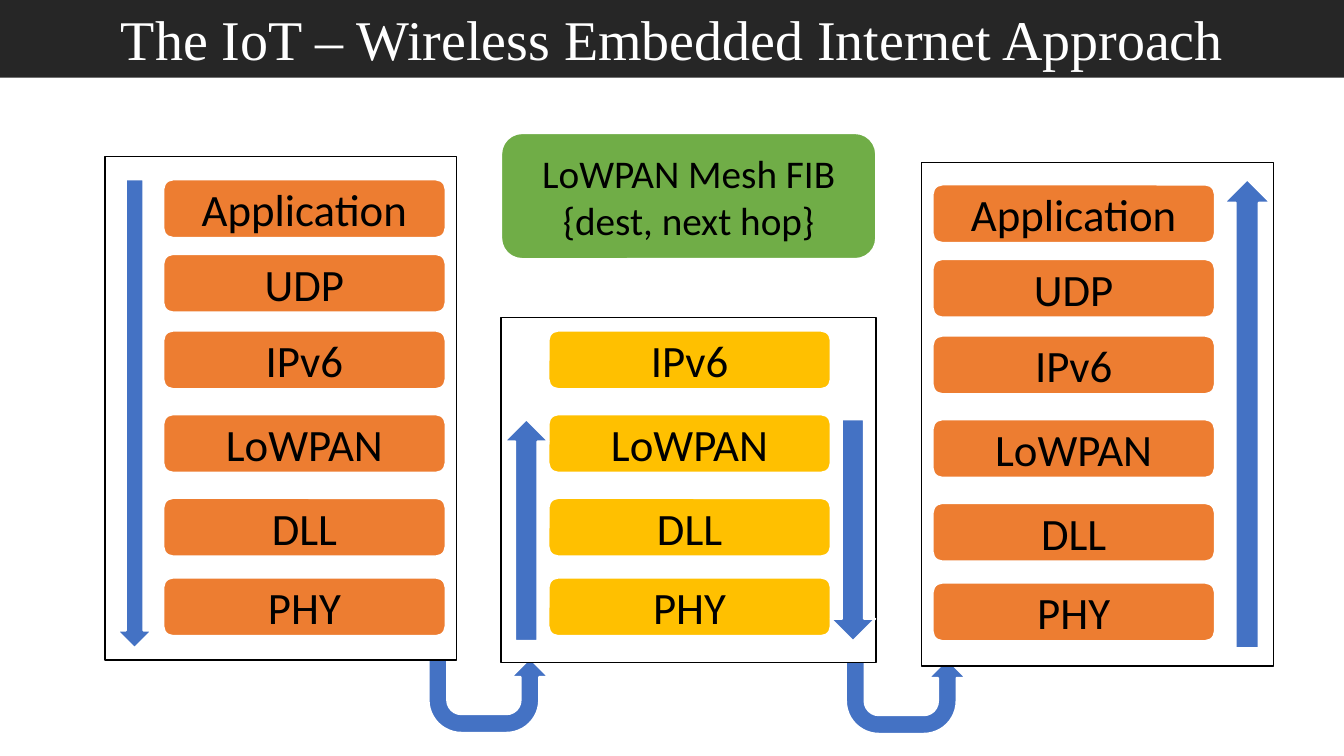
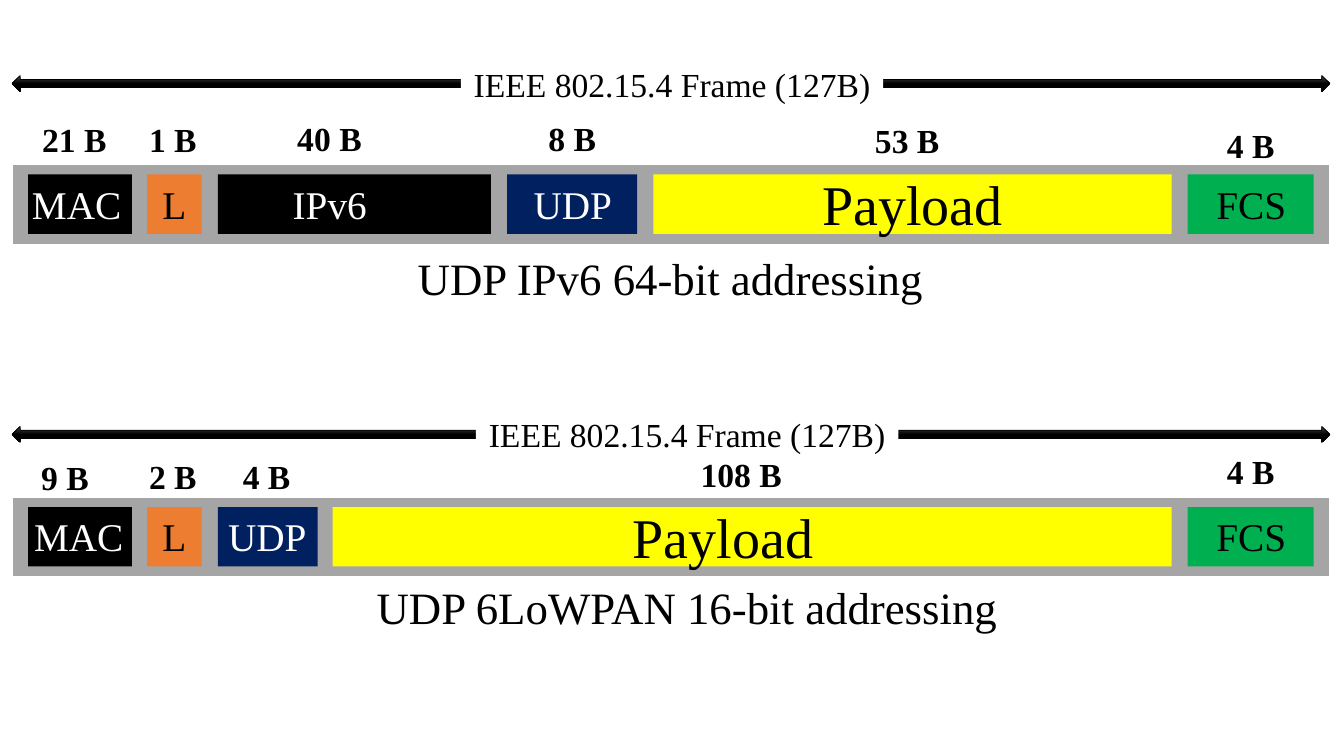
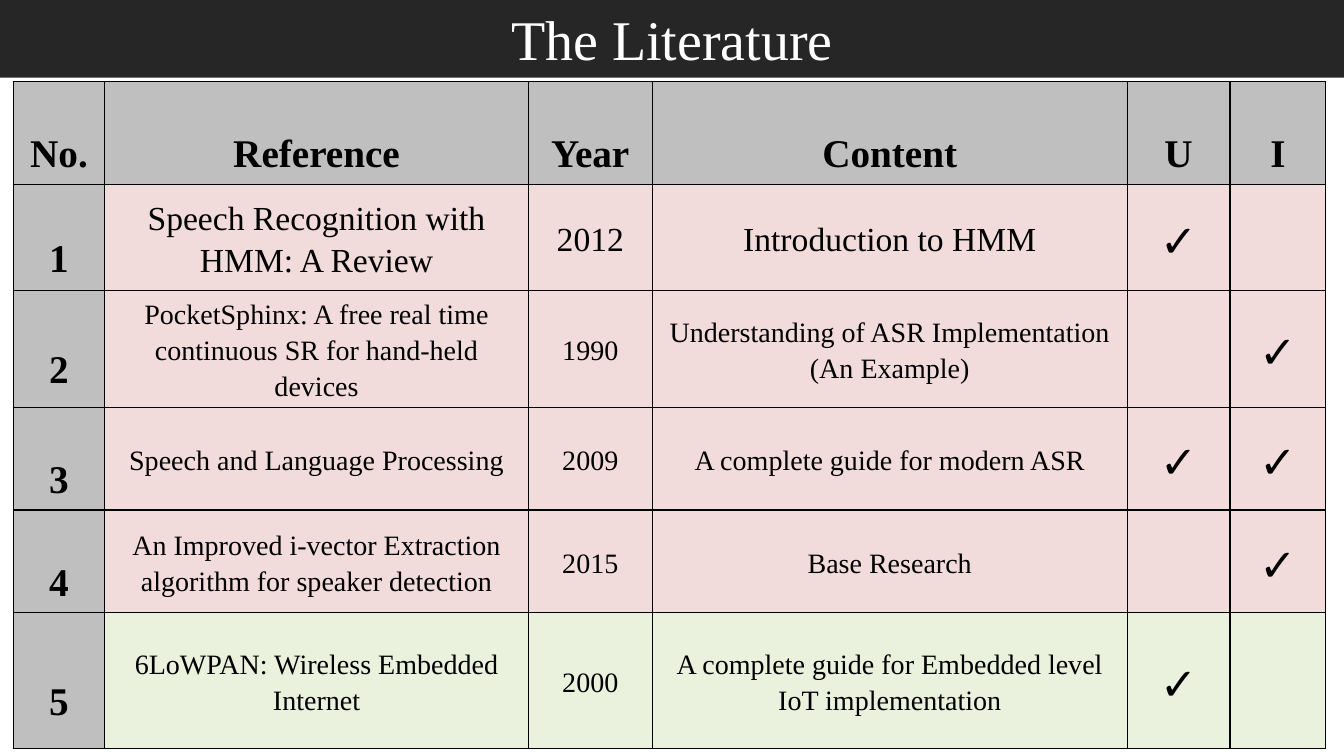
from collections import namedtuple

from lxml import etree
from pptx import Presentation
from pptx.dml.color import RGBColor
from pptx.enum import shapes, text
from pptx.oxml import ns
from pptx.util import Inches, Pt

COLORS = {
    "white": "FFFFFF", "black": "000000", "band": "262626", "blue": "4472C4",
    "orange": "ED7D31", "gold": "FFC000", "green": "70AD47", "gray": "A5A5A5",
    "navy": "002060", "yellow": "FFFF00", "emerald": "00B050", "sheen": "4B4B4B",
    "head": "BFBFBF", "pink": "F2DBDB", "lime": "EAF1DD",
}
SERIF, SANS, TICK_FONT = "Times New Roman", "Calibri", "Cabin"
KIND = shapes.MSO_SHAPE
CENTER, LEFT = text.PP_ALIGN.CENTER, text.PP_ALIGN.LEFT
TOP, MIDDLE = text.MSO_ANCHOR.TOP, text.MSO_ANCHOR.MIDDLE

LAYERS = ["Application", "UDP", "IPv6", "LoWPAN", "DLL", "PHY"]
LAYER_OFFSETS = [0, 0.74, 1.5, 2.33, 3.16, 3.95]

# label_left and label_top place the byte count, name_mid centres the name
Field = namedtuple("Field", "name left width fill ink name_mid count label_left label_top size",
                   defaults=[28])
FRAME_LEFT, FRAME_WIDTH = 0.12, 13.07
IPV6_FIELDS = [
    Field("MAC", 0.28, 1.03, "black", "white", 0.76, "21 B", 0.32, 1.13),
    Field("L", 1.46, 0.54, "orange", "black", 1.73, "1 B", 1.38, 1.13),
    Field("IPv6", 2.16, 2.71, "black", "white", 3.27, "40 B", 2.85, 1.12),
    Field("UDP", 5.03, 1.29, "navy", "white", 5.68, "8 B", 5.34, 1.12),
    Field("Payload", 6.48, 5.14, "yellow", "black", 9.05, "53 B", 8.58, 1.14, 40),
    Field("FCS", 11.78, 1.25, "emerald", "black", 12.41, "4 B", 12.07, 1.19),
]
LOWPAN_FIELDS = [
    Field("MAC", 0.28, 1.03, "black", "white", 0.78, "9 B", 0.31, 4.48),
    Field("L", 1.46, 0.54, "orange", "black", 1.73, "2 B", 1.38, 4.47),
    Field("UDP", 2.16, 0.99, "navy", "white", 2.65, "4 B", 2.31, 4.47),
    Field("Payload", 3.3, 8.32, "yellow", "black", 7.17, "108 B", 6.85, 4.45, 40),
    Field("FCS", 11.78, 1.25, "emerald", "black", 12.41, "4 B", 12.07, 4.42),
]

TICK = "✓"
COLUMN_WIDTHS = [0.91, 4.2, 1.23, 4.71, 1.02, 0.95]
ROW_HEIGHTS = [1.02, 1.05, 1.16, 1.02, 1.02, 1.35]
LITERATURE = [
    ("No.", "Reference", "Year", "Content", "U", "I"),
    ("1", "Speech Recognition with HMM: A Review", "2012", "Introduction to HMM", TICK, ""),
    ("2", "PocketSphinx: A free real time continuous SR for hand-held devices", "1990",
     "Understanding of ASR Implementation (An Example)", "", TICK),
    ("3", "Speech and Language Processing", "2009", "A complete guide for modern ASR",
     TICK, TICK),
    ("4", "An Improved i-vector Extraction algorithm for speaker detection", "2015",
     "Base Research", "", TICK),
    ("5", "6LoWPAN: Wireless Embedded Internet", "2000",
     "A complete guide for Embedded level IoT implementation", TICK, ""),
]


def rgb(name):
    return RGBColor.from_string(COLORS[name])


def write(frame, words, size, ink="black", font=SERIF, align=CENTER, bold=False, spacing=None):
    frame.text = words
    for para in frame.paragraphs:
        para.alignment = align
        if spacing:
            para.line_spacing = spacing
        for span in para.runs:
            span.font.size = Pt(size)
            span.font.name = font
            span.font.bold = bold
            span.font.color.rgb = rgb(ink)


def add_shape(page, kind, left, top, width, height, fill, line=None, weight=1.5):
    shape = page.shapes.add_shape(kind, Inches(left), Inches(top), Inches(width), Inches(height))
    shape.shadow.inherit = False
    shape.fill.solid()
    shape.fill.fore_color.rgb = rgb(fill)
    if line:
        shape.line.color.rgb = rgb(line)
        shape.line.width = Pt(weight)
    else:
        shape.line.fill.background()
    return shape


def add_text(page, words, left, top, width, height, size, wrap=True, **style):
    box = page.shapes.add_textbox(Inches(left), Inches(top), Inches(width), Inches(height))
    box.text_frame.word_wrap = wrap
    write(box.text_frame, words, size, **style)


def add_title(page, words):
    band = add_shape(page, KIND.RECTANGLE, 0, 0, 13.33, 0.77, "band")
    band.text_frame.vertical_anchor = TOP
    write(band.text_frame, words, 40, "white")


def add_block_arrow(page, kind, left, top, width, height):
    return add_shape(page, kind, left, top, width, height, "blue", "white")


def add_hop(page, left, top):
    """Add a U-shaped arrow that leads under two neighbouring panels."""
    arrow = add_block_arrow(page, KIND.U_TURN_ARROW, left, top, 1.19, 0.74)
    for index, value in enumerate([0.25, 0.25, 0.25, 0.44, 1]):
        arrow.adjustments[index] = value
    arrow.rotation = 180
    arrow.element.spPr.find(ns.qn("a:xfrm")).set("flipH", "1")


def add_panel(page, left, top, width, height):
    add_shape(page, KIND.RECTANGLE, left, top, width, height, "white", "black", 1)


def add_rounded(page, words, left, top, width, height, fill, size):
    box = add_shape(page, KIND.ROUNDED_RECTANGLE, left, top, width, height, fill, "white")
    write(box.text_frame, words, size, font=SANS)


def add_stack(page, left, top, fill, first=0):
    """Add the protocol layers from number first on; top is where layer 0 would be."""
    for name, offset in list(zip(LAYERS, LAYER_OFFSETS))[first:]:
        add_rounded(page, name, left, top + offset, 2.8, 0.58, fill, 32)


def add_span_arrow(page, top, label_left):
    """Add the double arrow over a whole frame with its label."""
    arrow = add_shape(page, KIND.LEFT_RIGHT_ARROW, FRAME_LEFT, top, FRAME_WIDTH, 0.16,
                      "black", "black", 0.5)
    arrow.fill.gradient()
    arrow.fill.gradient_angle = 270
    for stop, color, position in zip(arrow.fill.gradient_stops, ["sheen", "black"], [0, 0.5]):
        stop.color.rgb = rgb(color)
        stop.position = position
    label = add_shape(page, KIND.RECTANGLE, label_left, top - 0.17, 4.19, 0.5, "white")
    write(label.text_frame, "IEEE 802.15.4 Frame (127B)", 24)


def add_frame(page, fields, top, arrow_top, arrow_label_left, caption, caption_box):
    add_shape(page, KIND.RECTANGLE, FRAME_LEFT, top, FRAME_WIDTH, 0.8, "gray", "white")
    for field in fields:
        add_shape(page, KIND.RECTANGLE, field.left, top + 0.1, field.width, 0.59, field.fill)
        height = 0.77 if field.size == 40 else 0.57
        add_text(page, field.name, field.name_mid - 1, top + 0.39 - height / 2, 2, height,
                 field.size, wrap=False, ink=field.ink)
        add_text(page, field.count, field.label_left, field.label_top, 1.06, 0.5, 24,
                 align=LEFT, bold=True)
    add_text(page, caption, *caption_box, 32, wrap=False)
    add_span_arrow(page, arrow_top, arrow_label_left)


def add_borders(cell):
    properties = cell._tc.get_or_add_tcPr()
    for index, side in enumerate(["a:lnL", "a:lnR", "a:lnT", "a:lnB"]):
        line = etree.Element(ns.qn(side), w=str(Pt(1)))
        fill = etree.SubElement(line, ns.qn("a:solidFill"))
        etree.SubElement(fill, ns.qn("a:srgbClr"), val=COLORS["black"])
        properties.insert(index, line)


def fill_cell(cell, words, row, column):
    heading = row == 0 or column == 0
    color = "head" if heading else "lime" if row == 5 else "pink"
    cell.fill.solid()
    cell.fill.fore_color.rgb = rgb(color)
    add_borders(cell)
    cell.vertical_anchor = MIDDLE
    cell.margin_left = cell.margin_right = Inches(0.07)
    cell.margin_top = cell.margin_bottom = 0
    if heading:
        write(cell.text_frame, words, 28, bold=True, spacing=2.0)
    elif words == TICK:
        write(cell.text_frame, words, 32, font=TICK_FONT, spacing=1.15)
    elif words:
        write(cell.text_frame, words, 24 if row == 1 else 20, spacing=1.15)


def add_literature_table(page):
    table = page.shapes.add_table(len(ROW_HEIGHTS), len(COLUMN_WIDTHS), Inches(0.13), Inches(0.81),
                                  Inches(sum(COLUMN_WIDTHS)), Inches(sum(ROW_HEIGHTS))).table
    table.first_row = table.horz_banding = False
    for column, width in zip(table.columns, COLUMN_WIDTHS):
        column.width = Inches(width)
    for row, height in zip(table.rows, ROW_HEIGHTS):
        row.height = Inches(height)
    for row, entries in enumerate(LITERATURE):
        for column, words in enumerate(entries):
            fill_cell(table.cell(row, column), words, row, column)


def build_approach(page):
    add_hop(page, 4.25, 6.53)
    add_hop(page, 8.39, 6.54)
    add_title(page, "The IoT – Wireless Embedded Internet Approach")

    add_panel(page, 1.04, 1.55, 3.49, 5)
    add_block_arrow(page, KIND.DOWN_ARROW, 1.16, 1.78, 0.35, 4.65)
    add_stack(page, 1.62, 1.78, "orange")

    add_panel(page, 9.14, 1.61, 3.49, 5)
    add_block_arrow(page, KIND.UP_ARROW, 12.14, 1.78, 0.46, 4.65)
    add_stack(page, 9.25, 1.83, "orange")

    add_panel(page, 4.97, 3.15, 3.72, 3.42)
    add_stack(page, 5.44, 1.78, "gold", first=2)
    add_block_arrow(page, KIND.DOWN_ARROW, 8.24, 4.16, 0.44, 2.2)
    add_block_arrow(page, KIND.UP_ARROW, 5, 4.16, 0.44, 2.2)
    add_rounded(page, "LoWPAN Mesh FIB\n{dest, next hop}", 4.97, 1.32, 3.72, 1.25, "green", 28)


def build_frames(page):
    add_frame(page, IPV6_FIELDS, 1.63, 0.75, 4.57,
              "UDP IPv6 64-bit addressing", (4.02, 2.44, 5.26, 0.64))
    add_frame(page, LOWPAN_FIELDS, 4.93, 4.23, 4.72,
              "UDP 6LoWPAN 16-bit addressing", (3.61, 5.7, 6.41, 0.64))


def build_literature(page):
    add_title(page, "The Literature")
    add_literature_table(page)


def main():
    deck = Presentation()
    deck.slide_width, deck.slide_height = Inches(13.33), Inches(7.5)
    for build in (build_approach, build_frames, build_literature):
        build(deck.slides.add_slide(deck.slide_layouts[6]))
    deck.save("out.pptx")


if __name__ == "__main__":
    main()
